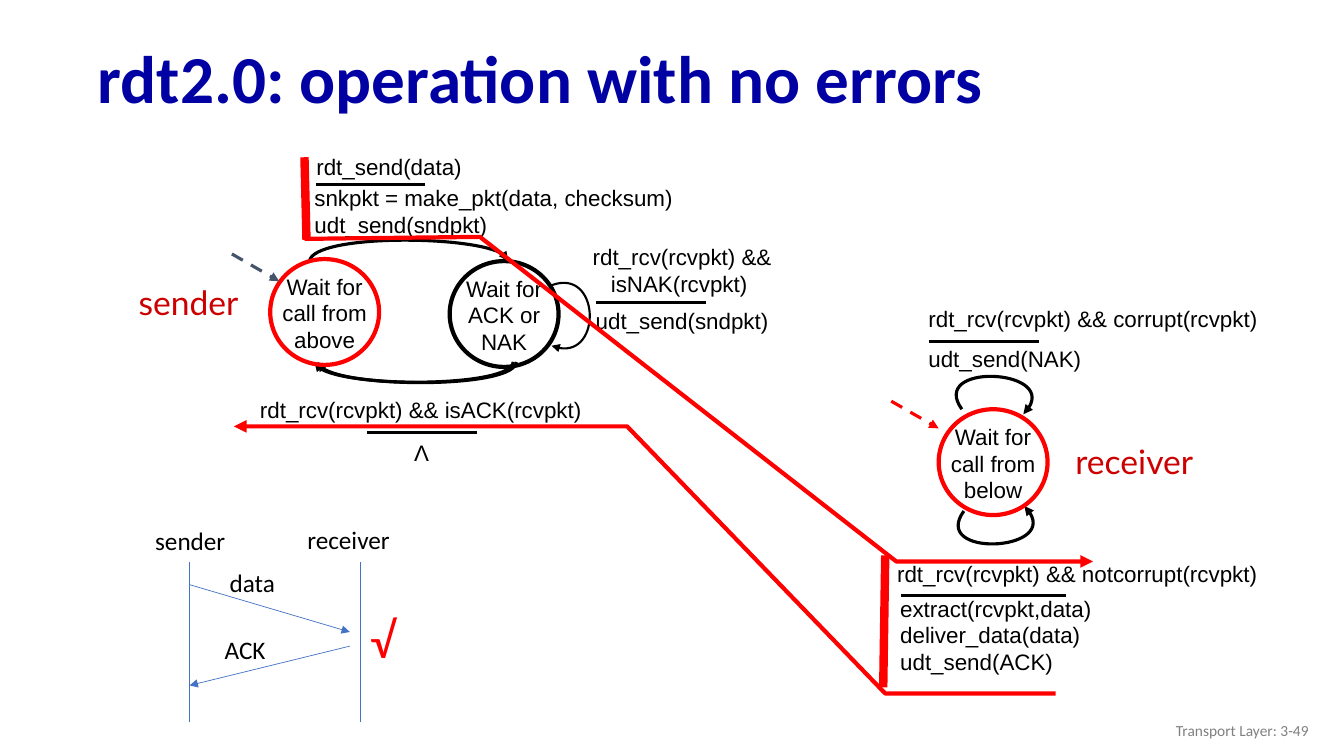
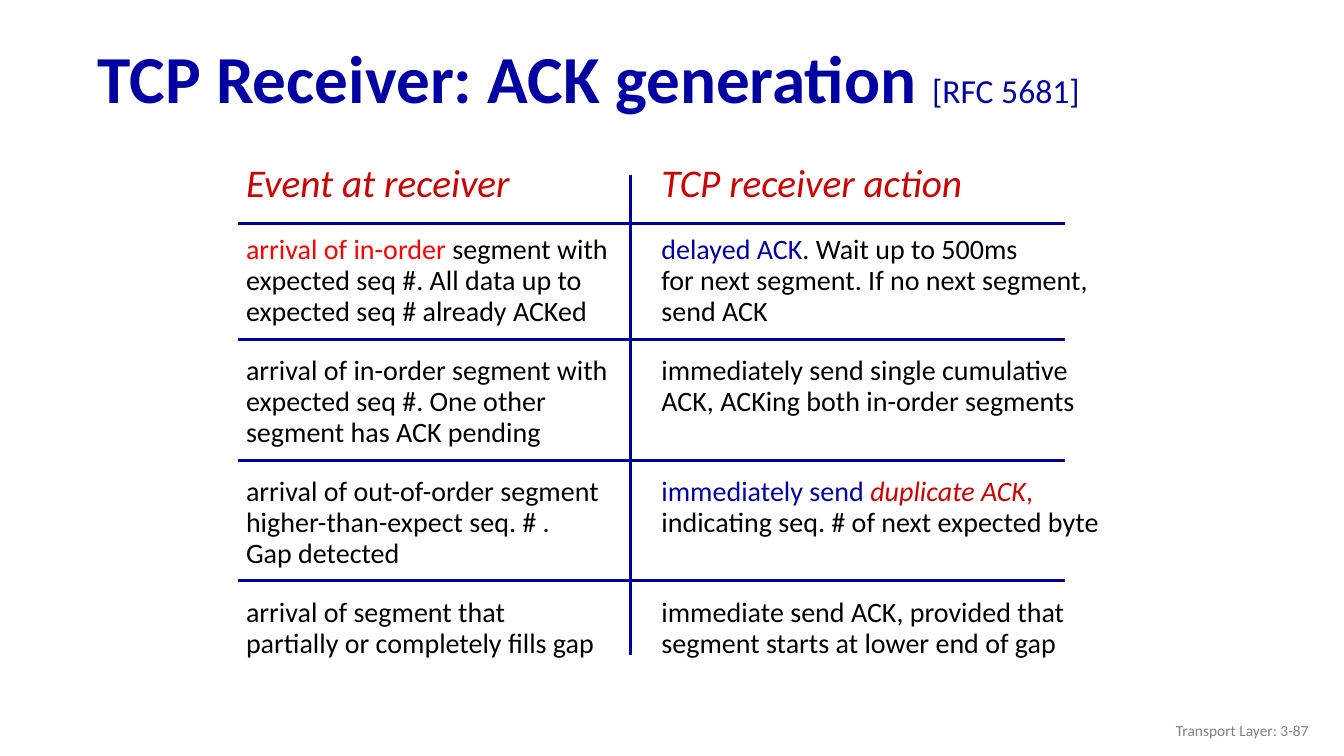
from lxml.etree import SubElement
from pptx import Presentation
from pptx.dml.color import RGBColor
from pptx.enum.dml import MSO_LINE
from pptx.enum.shapes import MSO_CONNECTOR, MSO_SHAPE
from pptx.enum.text import MSO_ANCHOR, MSO_AUTO_SIZE, PP_ALIGN
from pptx.oxml.ns import qn
from pptx.util import Inches, Pt

HUES = {"navy": "0000A3", "rule": "000099", "crimson": "CC0000", "red": "FF0000",
        "black": "000000", "slate": "44546A", "blue": "4472C4", "gray": "808080"}
WIDE, HIGH = 13.33, 7.5
LEFT, MID, RIGHT = PP_ALIGN.LEFT, PP_ALIGN.CENTER, PP_ALIGN.RIGHT
PLAIN = "{2D5ABB26-0587-4C30-8999-92F81FD0307C}"

FSM = {
    "title": [("rdt2.0: operation with no errors", "navy", False)],
    "foot": "Transport Layer: 3-49",
    "states": [
        (2.68, 2.57, "red", ["Wait for", "call from", "above"]),
        (4.46, 2.59, "black", ["Wait for", "ACK or", "NAK"]),
        (9.31, 4.06, "red", ["Wait for", "call from", "below"]),
    ],
    "labels": [
        (3.04, 1.47, 2.47, ["rdt_send(data)"]),
        (3.02, 1.78, 3.98, ["snkpkt = make_pkt(data, checksum)", "udt_send(sndpkt)"]),
        (5.78, 2.36, 2.28, ["rdt_rcv(rcvpkt) &&", "isNAK(rcvpkt)"]),
        (5.81, 3, 1.93, ["udt_send(sndpkt)"]),
        (2.48, 3.88, 3.88, ["rdt_rcv(rcvpkt) && isACK(rcvpkt)"]),
        (4.01, 4.31, 0.35, ["Λ"]),
        (9.11, 2.98, 3.71, ["rdt_rcv(rcvpkt) && corrupt(rcvpkt)"]),
        (9.11, 3.38, 2, ["udt_send(NAK)"]),
        (8.8, 5.51, 4.53, ["rdt_rcv(rcvpkt) && notcorrupt(rcvpkt)"]),
        (8.83, 5.85, 2.34, ["extract(rcvpkt,data)", "deliver_data(data)", "udt_send(ACK)"]),
    ],
    "bars": [(3.13, 1.83, 1.09), (5.91, 3, 1.09), (9.21, 3.39, 1.09),
             (3.64, 4.29, 1.09), (8.94, 5.91, 1.63)],
    "arcs": [
        (2.25, [(3.07, 2.59), (3.11, 2.32), (5.04, 2.33), (5.04, 2.59)]),
        (2.25, [(5.09, 3.59), (5.09, 3.84), (3.17, 3.86), (3.12, 3.59)]),
        (2.25, [(5.12, 3.59), (5.12, 3.85), (3.19, 3.86), (3.15, 3.59)]),
        (1.5, [(5.47, 2.83), (5.95, 2.65), (5.98, 3.63), (5.47, 3.43)]),
        (2.25, [(9.54, 4.06), (9.21, 3.6), (10.59, 3.66), (10.15, 4.11)]),
        (2.25, [(9.56, 5.07), (9.23, 5.53), (10.6, 5.47), (10.16, 5.02)]),
    ],
    "starts": [(2.3, 2.52, "slate"), (8.84, 3.98, "red")],
    "marks": [((3.02, 1.56), (3.04, 2.38)), ((8.78, 5.51), (8.76, 6.82))],
    "routes": [
        [(3.02, 2.37), (4.76, 2.35), (8.89, 5.57), (10.84, 5.57)],
        [(10.47, 6.88), (8.78, 6.88), (6.22, 4.23), (2.32, 4.23)],
    ],
    "roles": [(1.87, 2.75, "sender"), (11.25, 4.33, "receiver")],
    "lanes": (1.88, 3.57),
    "sends": [((1.88, 5.8), (3.47, 6.27)), ((3.47, 6.41), (1.88, 6.8))],
    "notes": [(1.44, 5.16, "sender"), (2.95, 5.15, "receiver"),
              (2.18, 5.58, "data"), (2.13, 6.24, "ACK")],
}

ACKS = {
    "title": [("TCP Receiver: ACK generation ", "navy", False), ("[RFC 5681]", "navy", False)],
    "foot": "Transport Layer: 3-87",
    "heads": ["Event at receiver", "TCP receiver action"],
    "rows": [
        ([[("arrival of in-order ", "red", False), ("segment with", "black", False)],
          "expected seq #. All data up to", "expected seq # already ACKed"],
         [[("delayed ACK", "navy", False), (". Wait up to 500ms", "black", False)],
          "for next segment. If no next segment,", "send ACK"]),
        (["arrival of in-order segment with", "expected seq #. One other",
          "segment has ACK pending"],
         ["immediately send single cumulative", "ACK, ACKing both in-order segments"]),
        (["arrival of out-of-order segment", "higher-than-expect seq. # .",
          "Gap detected"],
         [[("immediately send ", "navy", False), ("duplicate ACK", "crimson", True),
           (",", "crimson", False)],
          "indicating seq. # of next expected byte"]),
        (["arrival of segment that", "partially or completely fills gap"],
         ["immediate send ACK, provided that", "segment starts at lower end of gap"]),
    ],
    "rules": [2.22, 3.37, 4.57, 5.76],
}


def hue(name):
    return RGBColor.from_string(HUES[name])


def write(frame, lines, size, font="Calibri", color="black", align=LEFT, space=None):
    for i, line in enumerate(lines):
        para = frame.paragraphs[0] if i == 0 else frame.add_paragraph()
        para.alignment = align
        if space:
            para.line_spacing = space
        parts = [(line, color, False)] if isinstance(line, str) else line
        for text, tint, slant in parts:
            run = para.add_run()
            run.text = text
            run.font.size, run.font.name = Pt(size), font
            run.font.color.rgb, run.font.italic = hue(tint), slant


def label(slide, x, y, w, h, lines, size, anchor=MSO_ANCHOR.TOP, **style):
    box = slide.shapes.add_textbox(*map(Inches, (x, y, w, h)))
    box.text_frame.word_wrap = True
    box.text_frame.vertical_anchor = anchor
    write(box.text_frame, lines, size, **style)
    return box


def stroke(shape, color, width, arrow=False, dash=False):
    shape.line.color.rgb, shape.line.width = hue(color), Pt(width)
    if dash:
        shape.line.dash_style = MSO_LINE.DASH
    if arrow:
        SubElement(shape.line._get_or_add_ln(), qn("a:tailEnd"), type="triangle")


def line(slide, start, end, color, width, **style):
    link = slide.shapes.add_connector(MSO_CONNECTOR.STRAIGHT, *map(Inches, start + end))
    stroke(link, color, width, **style)
    SubElement(link._element.spPr, qn("a:effectLst"))


def trace(slide, points, color, width, curve=False):
    pen = slide.shapes.build_freeform(*map(Inches, points[0]))
    pen.add_line_segments([tuple(map(Inches, p)) for p in points[1:]], close=False)
    shape = pen.convert_to_shape()
    if curve:
        steps = list(shape._element.iter(qn("a:lnTo")))
        track = steps[0].getparent()
        bend = SubElement(track, qn("a:cubicBezTo"))
        for step in steps:
            bend.append(step[0])
            track.remove(step)
    shape.shadow.inherit = False
    shape.fill.background()
    stroke(shape, color, width, arrow=True)


def state(slide, x, y, color, lines):
    ring = slide.shapes.add_shape(MSO_SHAPE.OVAL, *map(Inches, (x, y, 1.08, 1.05)))
    ring.shadow.inherit = False
    ring.fill.background()
    stroke(ring, color, 3)
    frame = ring.text_frame
    frame.word_wrap = False
    frame.vertical_anchor = MSO_ANCHOR.MIDDLE
    frame.margin_left = frame.margin_right = frame.margin_bottom = 0
    frame.margin_top = Inches(0.02)
    write(frame, lines, 16, font="Arial", align=MID)


def start(deck, data):
    slide = deck.slides.add_slide(deck.slide_layouts[5])
    title = slide.shapes.title
    title.left, title.top, title.width, title.height = map(Inches, (0.87, 0.32, 12.14, 0.98))
    frame = title.text_frame
    frame.auto_size = MSO_AUTO_SIZE.NONE
    frame.vertical_anchor = MSO_ANCHOR.MIDDLE
    write(frame, [data["title"]], 48, space=0.9)
    for i, run in enumerate(frame.paragraphs[0].runs):
        run.font.bold = i == 0
        run.font.size = Pt(24 if i else 48)
    label(slide, WIDE - 3.25, HIGH - 0.45, 3, 0.4, [data["foot"]], 11,
          anchor=MSO_ANCHOR.MIDDLE, color="gray", align=RIGHT)
    return slide


def machine(deck, data):
    slide = start(deck, data)
    for width, points in data["arcs"]:
        trace(slide, points, "black", width, curve=True)
    for item in data["states"]:
        state(slide, *item)
    for x, y, w, lines in data["labels"]:
        box = label(slide, x, y, w, 0.1 + 0.27 * len(lines), lines, 16, font="Arial")
        if lines[-1].startswith("isNAK"):
            box.text_frame.paragraphs[1]._p.get_or_add_pPr().set("marL", str(Inches(0.18)))
    for x, y, w in data["bars"]:
        line(slide, (x, y), (x + w, y), "black", 2.25)
    for x, y, color in data["starts"]:
        line(slide, (x, y), (x + 0.47, y + 0.27), color, 2.25, arrow=True, dash=True)
    for ends in data["marks"]:
        line(slide, *ends, "red", 6)
    for points in data["routes"]:
        trace(slide, points, "red", 3)
    for x, y, text in data["roles"]:
        label(slide, x - 0.85, y, 1.7, 0.5, [text], 24, font="Lato",
              color="crimson", align=MID)
    for x in data["lanes"]:
        line(slide, (x, 5.58), (x, 7.16), "blue", 0.5)
    for ends in data["sends"]:
        line(slide, *ends, "blue", 0.5, arrow=True)
    for x, y, text in data["notes"]:
        label(slide, x, y, 1.08, 0.4, [text], 18)
    label(slide, 3.58, 5.98, 0.59, 0.71, ["√"], 36, color="red")


def grid(deck, data):
    slide = start(deck, data)
    heads = [[[(text, "crimson", True)]] for text in data["heads"]]
    rows = [heads] + data["rows"]
    wides, highs = (3.91, 4.85), (0.68, 1.2, 1.2, 1.2, 0.7)
    table = slide.shapes.add_table(
        len(rows), 2, *map(Inches, (2.34, 1.62, sum(wides), sum(highs)))).table
    table._tbl.tblPr[0].text = PLAIN
    table.first_row = table.horz_banding = False
    for col, wide in zip(table.columns, wides):
        col.width = Inches(wide)
    for r, (row, high) in enumerate(zip(rows, highs)):
        table.rows[r].height = Inches(high)
        for c, lines in enumerate(row):
            cell = table.cell(r, c)
            cell.fill.background()
            cell.margin_left = Inches((0.1, 0.31)[c])
            cell.margin_right = cell.margin_bottom = 0
            cell.margin_top = Inches(0.03 if r else 0)
            write(cell.text_frame, lines, 20 if r else 28, space=0.9)
    line(slide, (6.25, 1.74), (6.25, 6.5), "rule", 2.25)
    for y in data["rules"]:
        line(slide, (2.36, y), (10.56, y), "rule", 2.25)


def main():
    deck = Presentation()
    deck.slide_width, deck.slide_height = Inches(WIDE), Inches(HIGH)
    machine(deck, FSM)
    grid(deck, ACKS)
    deck.save("out.pptx")


if __name__ == "__main__":
    main()
